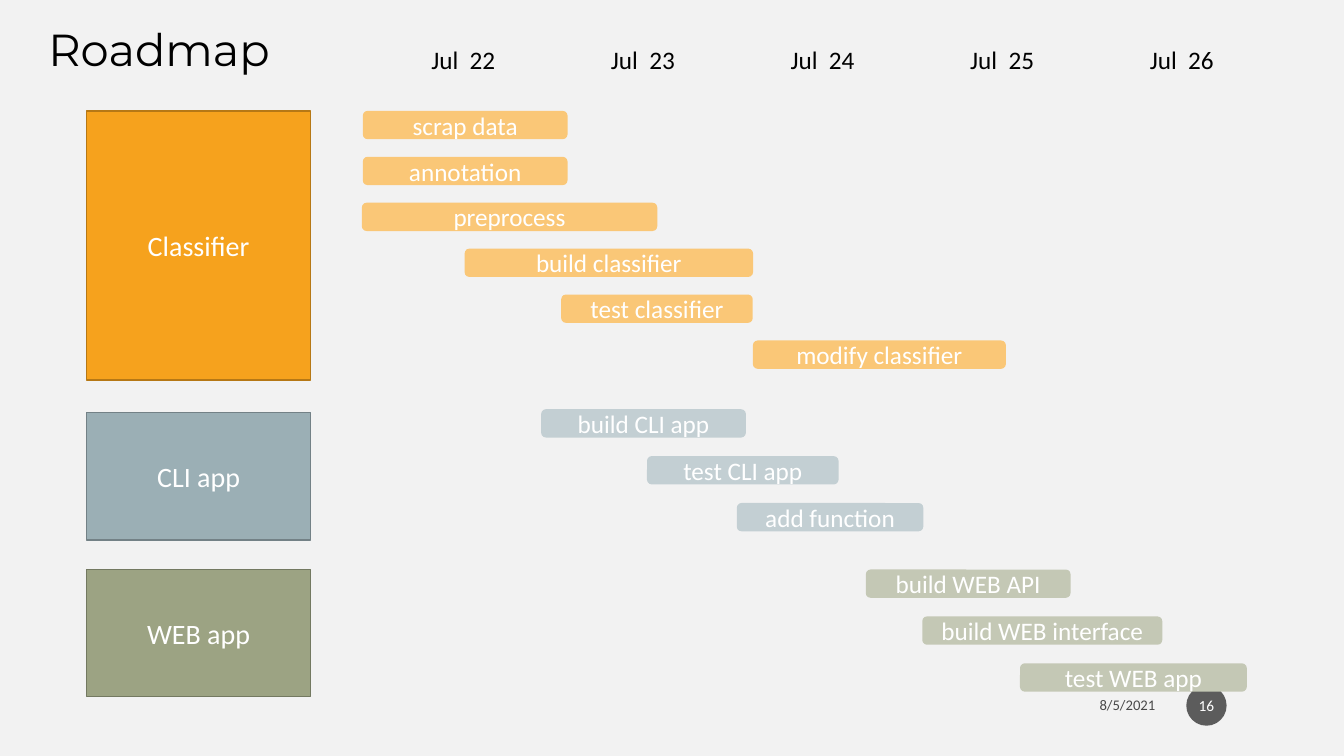
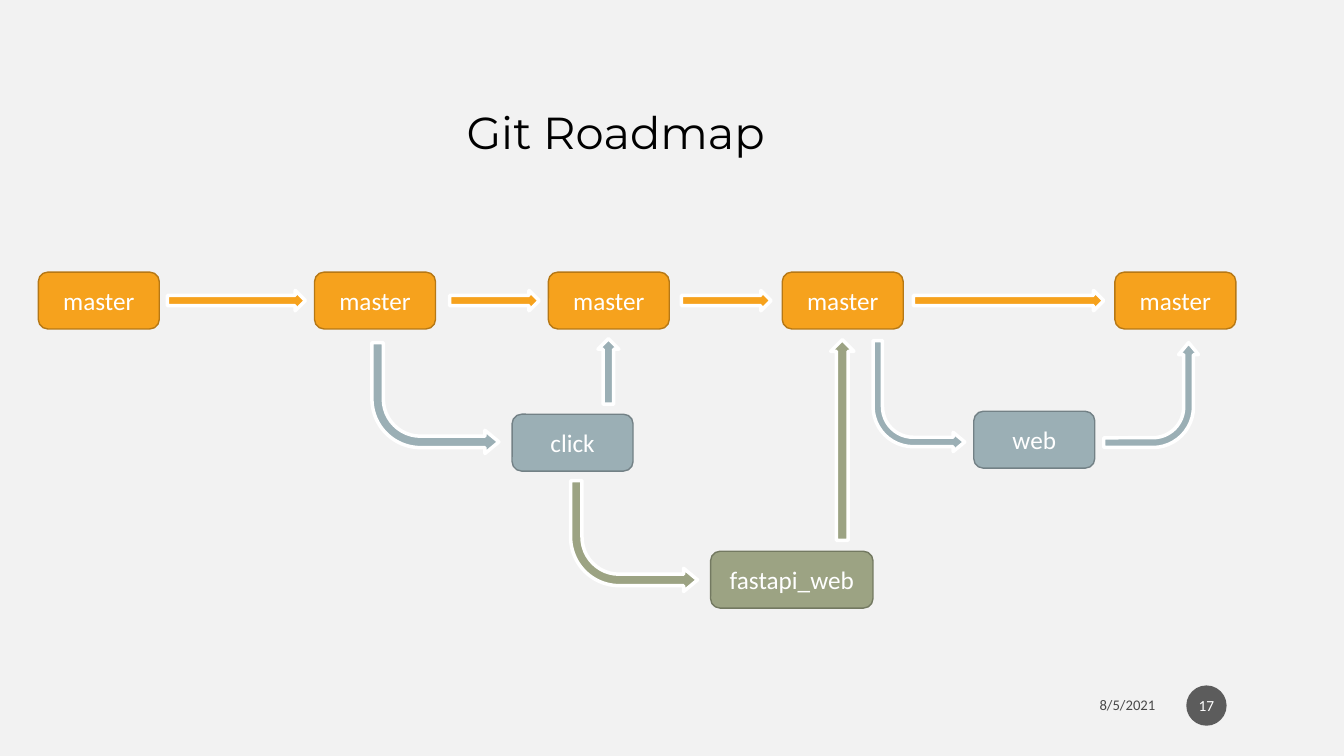
from pptx import Presentation
from pptx.dml.color import RGBColor
from pptx.enum.shapes import MSO_SHAPE as Kind
from pptx.enum.text import MSO_ANCHOR as Anchor, PP_ALIGN as Align
from pptx.oxml.ns import qn
from pptx.util import Pt
from lxml import etree

BODY, HEADING = "Calibri", "Montserrat"
BACKGROUND, INK, WHITE, BADGE = "F2F2F2", "000000", "FFFFFF", "1D1D1D"
# Each palette: fill, outline, light tint
ORANGE = ("F6A21D", "B67815", "FAC777")
BLUE = ("9BAFB5", "738186", "C3CFD3")
GREEN = ("9CA383", "737961", "C4C8B5")
BAR_HEIGHT = 20.2
NODE_WIDTH, NODE_HEIGHT = 86.4, 40.6


def paint(color_format, color, alpha=None):
    """Set a hex colour, with an optional opacity in percent."""
    color_format.rgb = RGBColor.from_string(color)
    if alpha is not None:
        for node in color_format._xFill.iter(qn("a:srgbClr")):
            etree.SubElement(node, qn("a:alpha")).set("val", str(alpha * 1000))


def write(shape, text, size, color, font=BODY, align=Align.CENTER, alpha=None):
    para = shape.text_frame.paragraphs[0]
    para.text = text
    para.alignment = align
    para.font.name = font
    para.font.size = Pt(size)
    para.font.fill.solid()
    paint_fill(para.font.fill, color, alpha)


def paint_fill(fill, color, alpha=None):
    fill.solid()
    paint(fill.fore_color, color, alpha)


def add_label(page, box, text, size, font=BODY, align=Align.LEFT, alpha=None):
    label = page.shapes.add_textbox(*map(Pt, box))
    write(label, text, size, INK, font, align, alpha)
    return label


def add_block(page, kind, box, fill, line=None, line_width=1, alpha=None):
    block = page.shapes.add_shape(kind, *map(Pt, box))
    block.shadow.inherit = False
    paint_fill(block.fill, fill, alpha)
    if line:
        paint_line(block.line, line, line_width)
    else:
        block.line.fill.background()
    return block


def paint_line(line, color, width):
    paint_fill(line.fill, color)
    line.width = Pt(width)


def add_title(page, box, text):
    add_label(page, box, text, 32, HEADING)


def add_footer(page, box, number):
    left, top, width, height = box
    date = add_label(page, (left, top + 1.4, 216.7, 25.2), "8/5/2021", 10.5,
                     align=Align.RIGHT, alpha=70)
    date.text_frame.word_wrap = True
    date.text_frame.vertical_anchor = Anchor.MIDDLE
    badge = add_block(page, Kind.OVAL, (left + width - height, top, height, height),
                      BADGE, alpha=70)
    badge.text_frame.margin_left = badge.text_frame.margin_right = Pt(1.4)
    write(badge, str(number), 11, WHITE)


def new_page(deck, number):
    page = deck.slides.add_slide(deck.slide_layouts[6])
    paint_fill(page.background.fill, BACKGROUND)
    add_footer(page, (615.6, 489.6, 260.6, 28.8), number)
    return page


def add_months(page, box):
    left, top, width, height = box
    step = width / 5
    for index in range(5):
        add_label(page, (left + index * step, top, 61.2, height),
                  f"Jul  {22 + index}", 18)


def add_section(page, box, name, palette, bars, first_bar=0, step=33.5):
    """Draw a named block and its task bars; bars are (text, offset, width)."""
    left, top, width, height = box
    fill, line, tint = palette
    block = add_block(page, Kind.RECTANGLE, box, fill, line)
    write(block, name, 20, WHITE)
    for row, (text, offset, bar_width) in enumerate(bars):
        bar_box = (left + offset, top + first_bar + row * step, bar_width, BAR_HEIGHT)
        bar = add_block(page, Kind.ROUNDED_RECTANGLE, bar_box, tint)
        write(bar, text, 18, WHITE)


def add_node(page, box, text, palette):
    node = add_block(page, Kind.ROUNDED_RECTANGLE, box, palette[0], palette[1])
    write(node, text, 18, WHITE)


def add_arrow(page, box, palette, upward=False, bend=None):
    """Draw a straight arrow, or a curved one when a bend radius is given."""
    kind = Kind.BENT_ARROW if bend else Kind.RIGHT_ARROW
    arrow = add_block(page, kind, box, palette[0], WHITE, 2.5)
    if bend:
        for index, value in enumerate((0.103, 0.105, 0.126, bend)):
            arrow.adjustments[index] = value
        arrow.element.spPr.find(qn("a:xfrm")).set("flipV", "1")
    if upward:
        arrow.rotation = 270


def add_branches(page, box):
    """Draw the branch diagram from the top left corner of the box."""
    left, top = box[:2]
    nodes = [("master", x, 0, NODE_WIDTH, ORANGE)
             for x in (0, 197.3, 364.3, 531.4, 769)]
    nodes += [
        ("click", 338.4, 101.5, NODE_WIDTH, BLUE),
        ("web", 668.2, 99.4, NODE_WIDTH, BLUE),
        ("fastapi_web", 480.2, 199.4, 116, GREEN),
    ]
    for text, x, y, width, palette in nodes:
        add_node(page, (left + x, top + y, width, NODE_HEIGHT), text, palette)

    arrows = [((x, 13, width, 14.6), ORANGE, False, None)
              for x, width in ((92.2, 98.6), (293.8, 64), (459.4, 64), (625, 136))]
    arrows += [
        ((383.8, 63.4, 46.8, 15), BLUE, True, None),
        ((502.6, 111.6, 143.3, 16.6), GREEN, True, None),
        ((238.3, 50.4, 90.7, 79.2), BLUE, False, 0.438),
        ((380.2, 149, 90.7, 79.2), GREEN, False, 0.438),
        ((596.2, 49, 65.5, 79.2), BLUE, False, 0.438),
        ((757.4, 54, 74.9, 67.7), BLUE, True, 0.428),
    ]
    for (x, y, width, height), palette, upward, bend in arrows:
        add_arrow(page, (left + x, top + y, width, height), palette, upward, bend)


def build_roadmap(deck):
    page = new_page(deck, 16)
    add_months(page, (301, 28.1, 641.5, 29))
    add_section(page, (61.9, 79.2, 160, 192.2), "Classifier", ORANGE, [
        ("scrap data", 197.3, 146.2),
        ("annotation", 197.3, 146.2),
        ("preprocess", 196.6, 211),
        ("build classifier", 270, 206),
        ("test classifier", 339, 136.8),
        ("modify classifier", 475.9, 180.7),
    ], step=32.8)
    add_section(page, (61.9, 294.5, 160, 91.4), "CLI app", BLUE, [
        ("build CLI app", 324.7, 146.2),
        ("test CLI app", 400.3, 136.8),
        ("add function", 464.4, 133.2),
    ], first_bar=-2.2)
    add_section(page, (61.9, 406.8, 160, 90.7), "WEB app", GREEN, [
        ("build WEB API", 556.6, 146.2),
        ("build WEB interface", 596.9, 171.4),
        ("test WEB app", 666.7, 162),
    ])
    add_title(page, (27.4, 12.2, 194.4, 46), "Roadmap")


def build_git_roadmap(deck):
    page = new_page(deck, 17)
    add_branches(page, (27.4, 194.4, 855.4, 240))
    add_title(page, (326.2, 71.3, 254.9, 46), "Git Roadmap")


def main():
    deck = Presentation()
    deck.slide_width, deck.slide_height = Pt(960), Pt(540)
    build_roadmap(deck)
    build_git_roadmap(deck)
    deck.save("out.pptx")


if __name__ == "__main__":
    main()
